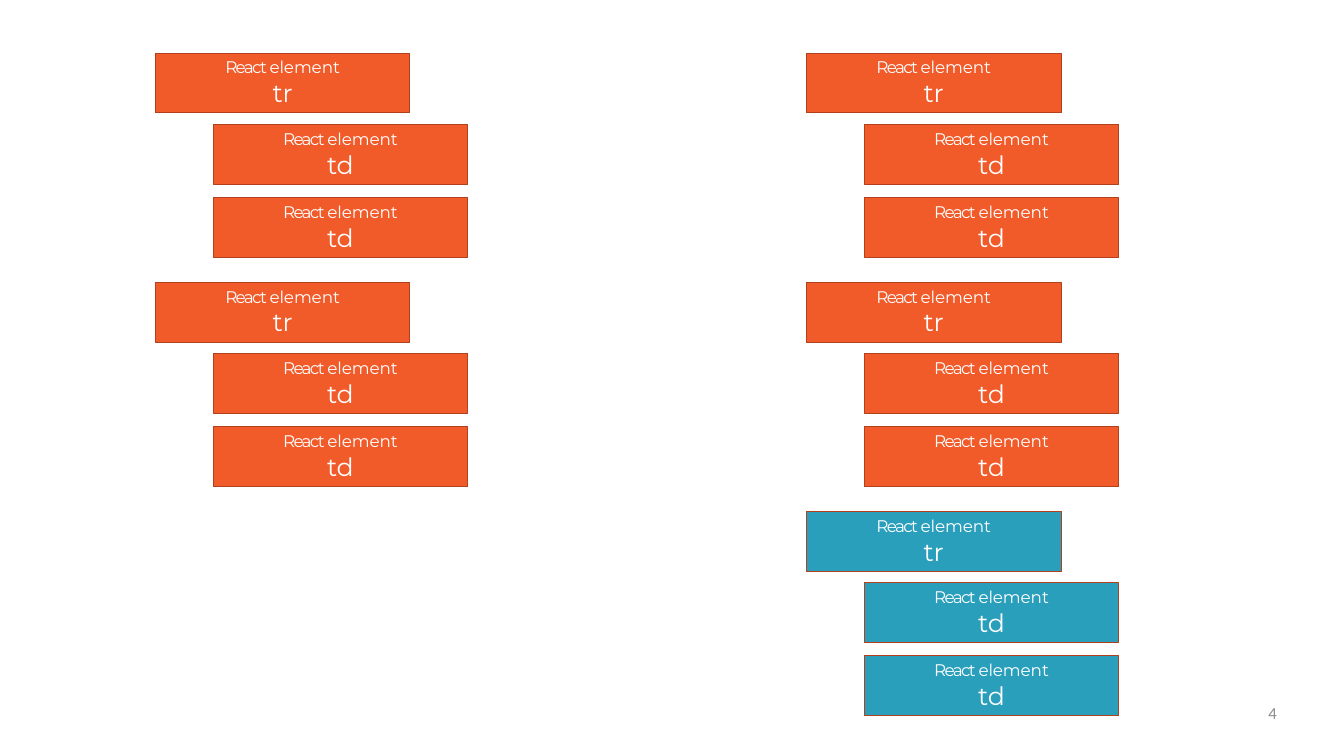
from dataclasses import dataclass

from pptx import Presentation
from pptx.dml.color import RGBColor as RGB
from pptx.enum.shapes import MSO_SHAPE as SHAPE
from pptx.enum.text import MSO_ANCHOR as ANCHOR, MSO_AUTO_SIZE as AUTO, PP_ALIGN as ALIGN
from pptx.util import Inches, Pt


@dataclass(frozen=True)
class Theme:
    existing: str = "F15B2A"
    added: str = "2A9FBC"
    border: str = "B1411C"
    text: str = "FFFFFF"
    muted: str = "8C8C8C"
    font: str = "Montserrat"
    number_font: str = "Calibri"
    label_size: int = 18
    tag_size: int = 27


theme = Theme()

# Grid in inches: two trees side by side, each a stack of table rows
LEFT, TOP = 2.31, 0.79
TREE_STEP, GROUP_STEP = 9.69, 3.41
INDENT = 0.86
BOX_W, BOX_H = 3.79, 0.89
GROUP = [("tr", 0, 0), ("td", INDENT, 1.06), ("td", INDENT, 2.15)]  # tag, dx, dy
TREES = [
    [theme.existing, theme.existing],
    [theme.existing, theme.existing, theme.added],
]


def add_text(p, text, size=theme.label_size, font=theme.font, color=theme.text,
             spacing=0, before=0, align=ALIGN.CENTER):
    p.alignment = align
    p.space_before = Pt(before)
    r = p.add_run()
    r.text = text
    r.font.size = Pt(size)
    r.font.name = font
    r.font.color.rgb = RGB.from_string(color)
    if spacing:
        r._r.get_or_add_rPr().set("spc", str(round(spacing * 100)))


def set_frame(tf, top=0):
    tf.margin_left = tf.margin_right = tf.margin_bottom = 0
    tf.margin_top = Inches(top)
    tf.word_wrap = True
    tf.vertical_anchor = ANCHOR.TOP
    tf.auto_size = AUTO.SHAPE_TO_FIT_TEXT


prs = Presentation()
prs.slide_width, prs.slide_height = Inches(20), Inches(11.25)
s = prs.slides.add_slide(prs.slide_layouts[6])

# Element trees: before on the left, after on the right
for tree, groups in enumerate(TREES):
    for row, fill in enumerate(groups):
        for tag, dx, dy in GROUP:
            sp = s.shapes.add_shape(
                SHAPE.RECTANGLE,
                Inches(LEFT + tree * TREE_STEP + dx), Inches(TOP + row * GROUP_STEP + dy),
                Inches(BOX_W), Inches(BOX_H))
            sp.shadow.inherit = False
            sp.fill.solid()
            sp.fill.fore_color.rgb = RGB.from_string(fill)
            sp.line.color.rgb = RGB.from_string(theme.border)
            sp.line.width = Pt(1)
            tf = sp.text_frame
            set_frame(tf, top=0.06)
            p = tf.paragraphs[0]
            add_text(p, "React ", spacing=-1.8, before=4)
            add_text(p, "element", spacing=-0.1, before=4)
            add_text(tf.add_paragraph(), tag, size=theme.tag_size, spacing=-0.2, before=0.3)

# Slide number
sp = s.shapes.add_textbox(Inches(14.4), Inches(10.46), Inches(4.6), Inches(0.56))
set_frame(sp.text_frame)
add_text(sp.text_frame.paragraphs[0], "4", font=theme.number_font,
         color=theme.muted, align=ALIGN.RIGHT)

prs.save("out.pptx")
